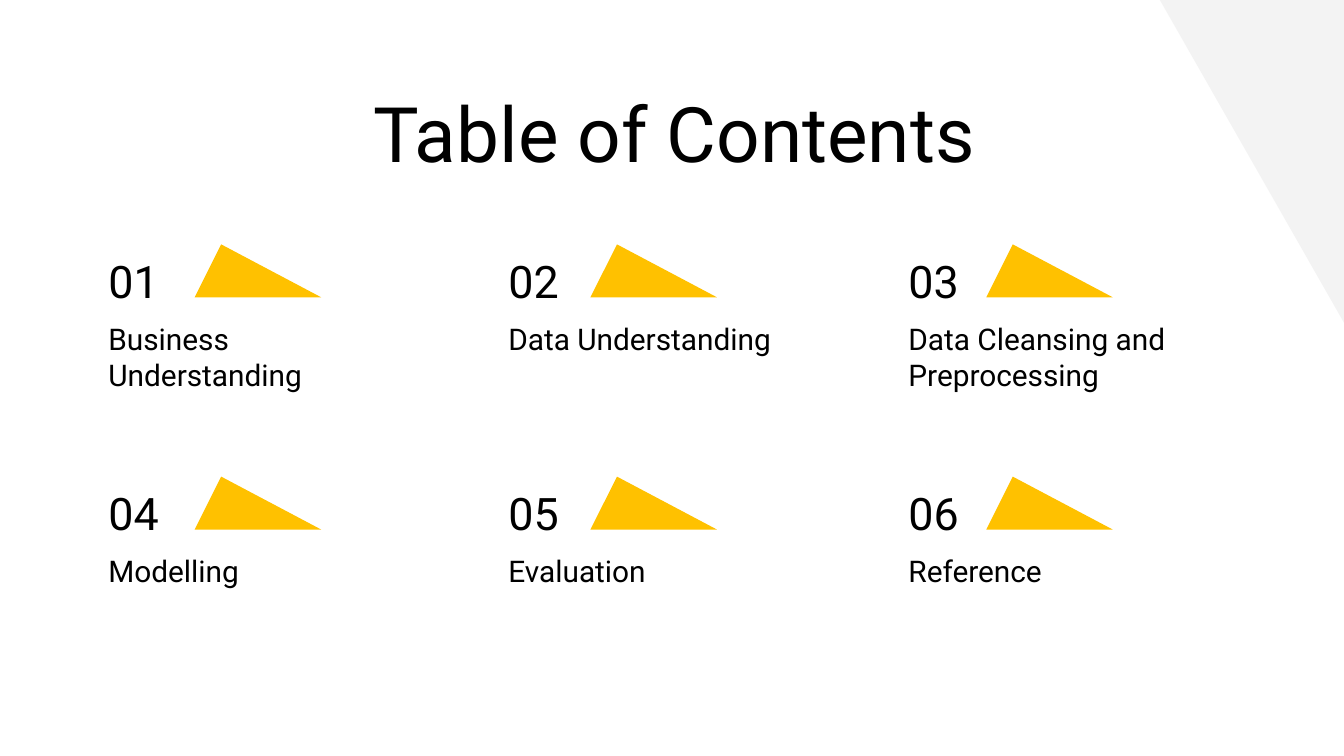
import pptx
import pptx.dml.color
import pptx.enum.shapes
import pptx.enum.text
import pptx.util

Cm = pptx.util.Cm
Pt = pptx.util.Pt
KIND = pptx.enum.shapes.MSO_SHAPE
ALIGN = pptx.enum.text.PP_ALIGN
ANCHOR = pptx.enum.text.MSO_ANCHOR

TOPICS = [
    "Business Understanding", "Data Understanding",
    "Data Cleansing and Preprocessing",
    "Modelling", "Evaluation", "Reference",
]


def color(code):
    return pptx.dml.color.RGBColor.from_string(code)


def assign(target, values):
    for name, value in values.items():
        setattr(target, name, value)


def add_shape(slide, kind, box, fill):
    shape = slide.shapes.add_shape(kind, *map(Cm, box))
    shape.shadow.inherit = False
    shape.fill.solid()
    shape.fill.fore_color.rgb = color(fill)
    shape.line.fill.background()
    return shape


def add_text(slide, text, box, size, anchor=ANCHOR.TOP, **style):
    frame = slide.shapes.add_textbox(*map(Cm, box)).text_frame
    sides = ("left", "top", "right", "bottom")
    assign(frame, {f"margin_{side}": Cm(0.25) for side in sides})
    assign(frame, {"word_wrap": True, "vertical_anchor": anchor})
    para = frame.paragraphs[0]
    assign(para, style)
    run = para.add_run()
    run.text = text
    assign(run.font, {"name": "Roboto", "size": Pt(size)})
    run.font.color.rgb = color("000000")


def add_topic(slide, index, topic):
    row, col = divmod(index, 3)
    left = 1.8 + 7.56 * col
    drop = 4.39 * row

    # Marker behind the number
    mark = add_shape(slide, KIND.ISOSCELES_TRIANGLE,
                     (3.68 + 7.48 * col, 4.62 + drop, 2.39, 1), "FFC100")
    mark.adjustments[0] = 0.21

    # Number and topic
    add_text(slide, f"{index + 1:02}", (left, 4.8 + drop, 3, 1), 24,
             anchor=ANCHOR.MIDDLE)
    add_text(slide, topic, (left, 5.81 + drop, 6, 1), 16,
             space_after=Pt(16))


def main():
    deck = pptx.Presentation()
    assign(deck, {"slide_width": Cm(25.4), "slide_height": Cm(14.29)})
    slide = deck.slides.add_slide(deck.slide_layouts[6])

    # Grey corner, top right
    corner = add_shape(slide, KIND.RIGHT_TRIANGLE,
                       (21.92, 0, 3.48, 6.1), "F3F3F3")
    corner.rotation = 180

    # Heading
    add_text(slide, "Table of Contents", (1.5, 1.37, 22.5, 1.6), 41,
             alignment=ALIGN.CENTER)

    # Grid of topics
    for index, topic in enumerate(TOPICS):
        add_topic(slide, index, topic)

    deck.save("out.pptx")


if __name__ == "__main__":
    main()
